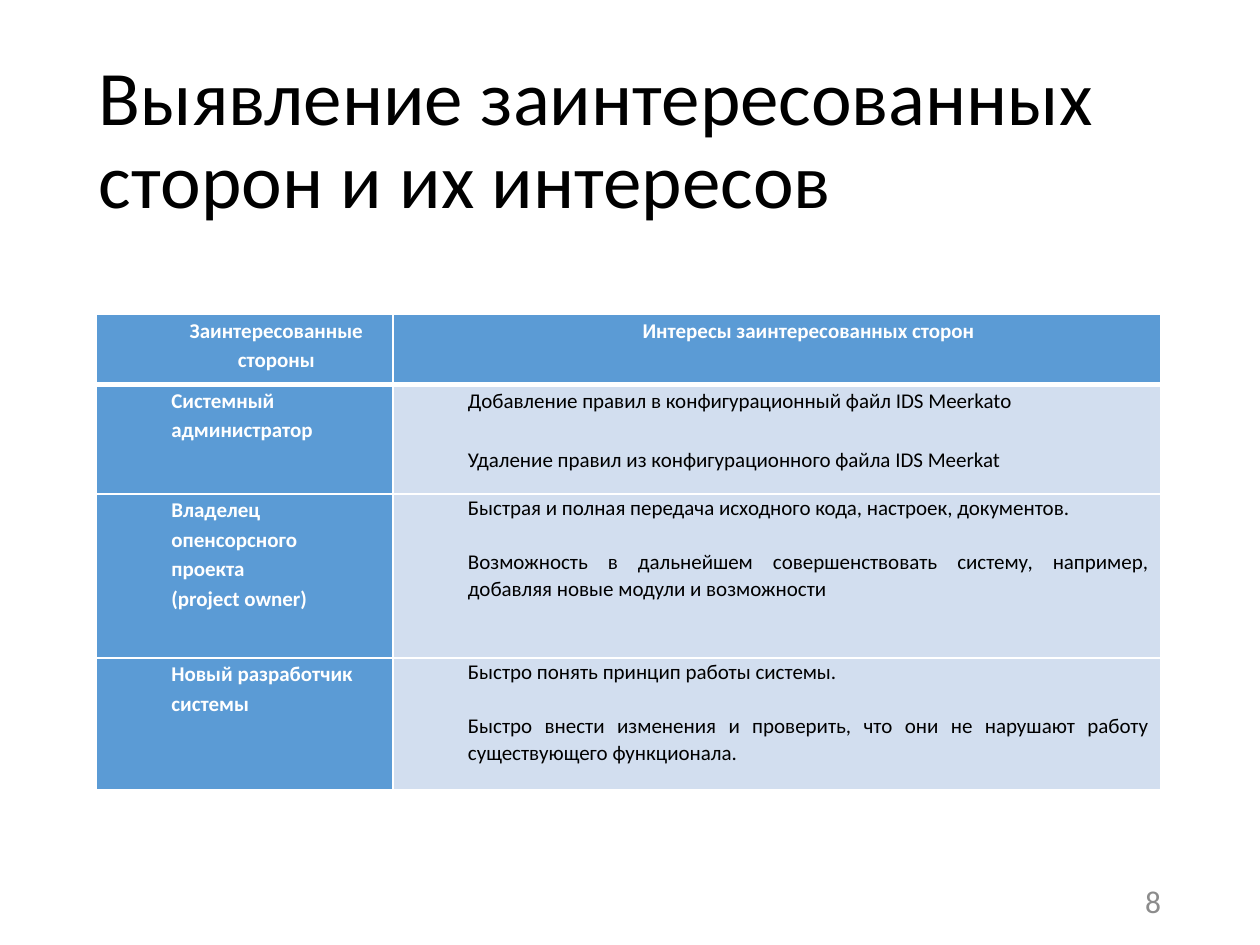
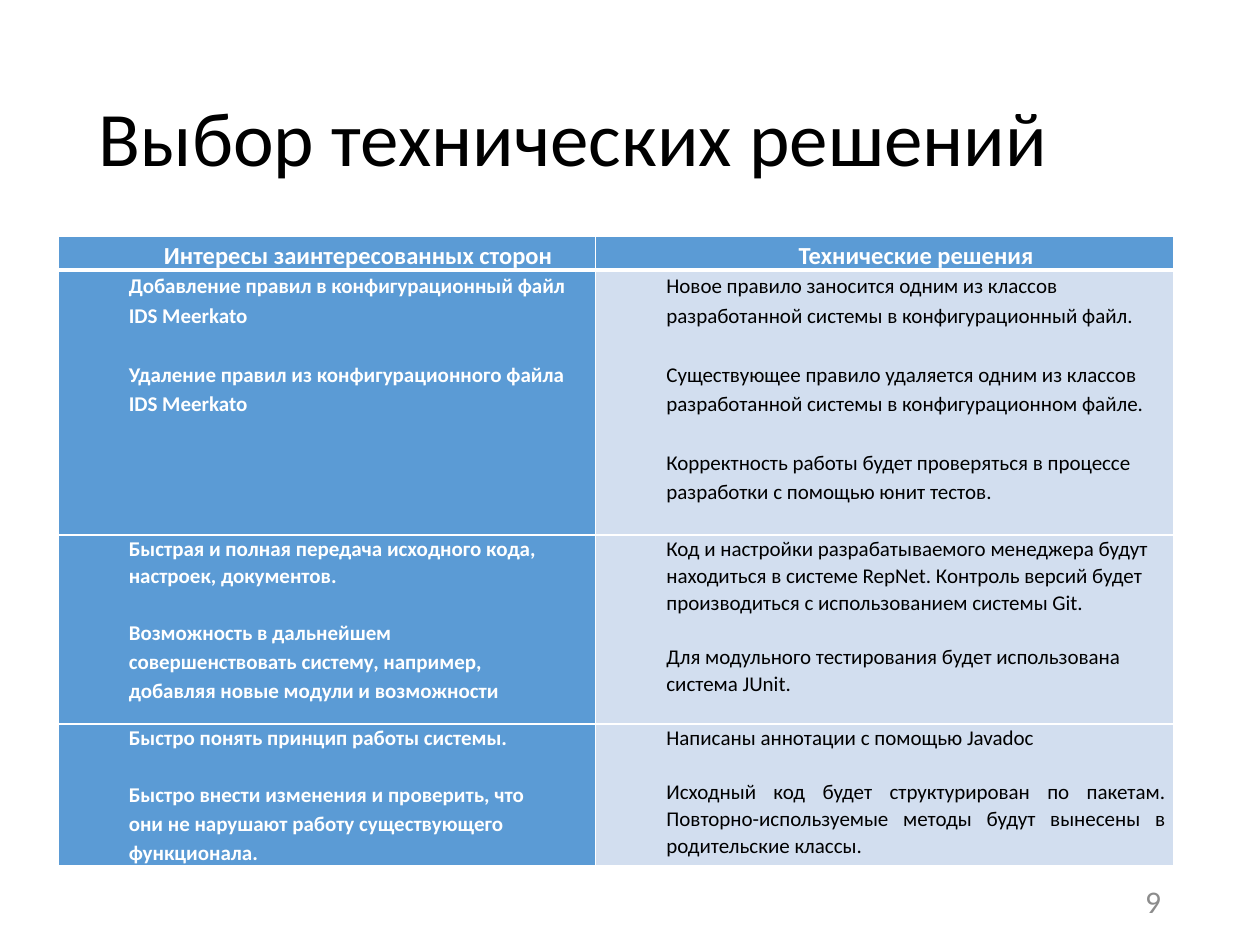
from dataclasses import dataclass

from lxml.etree import SubElement
from pptx import Presentation
from pptx.dml.color import RGBColor
from pptx.enum.text import MSO_ANCHOR, PP_ALIGN
from pptx.oxml.ns import qn
from pptx.util import Pt

WHITE = RGBColor(0xFF, 0xFF, 0xFF)
BLACK = RGBColor(0x00, 0x00, 0x00)
GRAY = RGBColor(0x8C, 0x8C, 0x8C)
BLUE = RGBColor(0x5B, 0x9B, 0xD5)
PALE_BLUE = RGBColor(0xD2, 0xDE, 0xEF)

LOOSE, TIGHT = 1.15, 1.06
LINE_HEIGHT = 1.22  # Calibri line height relative to font size


@dataclass
class Block:
    """Lines of one cell that belong together; a blank gap follows each block."""
    text: str
    spacing: float = LOOSE
    align: PP_ALIGN = PP_ALIGN.LEFT


def header(text):
    return [Block(text, LOOSE, PP_ALIGN.CENTER)]


def justified(text, spacing=TIGHT):
    return Block(text, spacing, PP_ALIGN.JUSTIFY)


class Deck:
    font = "Calibri"
    body_size = 12
    indent = 36

    def __init__(self):
        self.prs = Presentation()
        self.prs.slide_width, self.prs.slide_height = Pt(720), Pt(540)
        self.s = None

    def slide(self, title, number):
        self.s = self.prs.slides.add_slide(self.prs.slide_layouts[6])
        self.text(title, 49.5, 28.75, 621, 104.4, 44, BLACK, spacing=0.9)
        self.text(str(number), 508.5, 500.5, 162, 28.75, 18, GRAY, PP_ALIGN.RIGHT)

    def style(self, p, size, color, bold=False):
        f = p.font
        f.name, f.size, f.bold = self.font, Pt(size), bold
        f.color.rgb = color

    def text(self, text, x, y, w, h, size, color, align=PP_ALIGN.LEFT, spacing=1.0):
        tf = self.s.shapes.add_textbox(Pt(x), Pt(y), Pt(w), Pt(h)).text_frame
        tf.word_wrap = True
        tf.vertical_anchor = MSO_ANCHOR.MIDDLE
        p = tf.paragraphs[0]
        p.text, p.alignment, p.line_spacing = text, align, spacing
        self.style(p, size, color)

    def borders(self, cell, top, bottom):
        tc_pr = cell._tc.get_or_add_tcPr()
        for side, width in (("L", 1), ("R", 1), ("T", top), ("B", bottom)):
            ln = SubElement(tc_pr, qn(f"a:ln{side}"), w=str(Pt(width)))
            fill = SubElement(ln, qn("a:solidFill"))
            SubElement(fill, qn("a:srgbClr"), val=str(WHITE))

    def fill_cell(self, cell, blocks, inset, size, color, bold):
        cell.margin_left = cell.margin_right = Pt(inset)
        cell.margin_top = cell.margin_bottom = Pt(0)
        tf = cell.text_frame
        tf.text = "\n".join(block.text for block in blocks)
        paragraphs = iter(tf.paragraphs)
        for block in blocks:
            for _ in block.text.split("\n"):
                p = next(paragraphs)
                p.alignment, p.line_spacing = block.align, block.spacing
                p._p.get_or_add_pPr().set("marL", str(Pt(self.indent)))
                self.style(p, size, color, bold)
            if block is not blocks[-1]:
                p.space_after = Pt(round(size * LINE_HEIGHT * block.spacing, 1))

    def table(self, x, y, widths, heights, rows, inset, header_size):
        frame = self.s.shapes.add_table(len(rows), len(widths), Pt(x), Pt(y),
                                        Pt(sum(widths)), Pt(sum(heights)))
        tbl = frame.table
        tbl.first_row = tbl.horz_banding = False
        for column, width in zip(tbl.columns, widths):
            column.width = Pt(width)
        for i, (row, height) in enumerate(zip(rows, heights)):
            tbl.rows[i].height = Pt(height)
            for j, blocks in enumerate(row):
                cell = tbl.cell(i, j)
                strong = i == 0 or j == 0
                # A thick rule separates the header from the body
                self.borders(cell, 3 if i == 1 else 1, 3 if i == 0 else 1)
                cell.fill.solid()
                cell.fill.fore_color.rgb = BLUE if strong else PALE_BLUE
                self.fill_cell(cell, blocks, inset,
                               header_size if i == 0 else self.body_size,
                               WHITE if strong else BLACK, strong)


# Table contents
STAKEHOLDERS = [
    [header("Заинтересованные\nстороны"),
     header("Интересы заинтересованных сторон")],
    [[Block("Системный\nадминистратор")],
     [Block("Добавление правил в конфигурационный файл IDS Meerkato"),
      Block("Удаление правил из конфигурационного файла IDS Meerkat")]],
    [[Block("Владелец\nопенсорсного\nпроекта\n(project owner)")],
     [justified("Быстрая и полная передача исходного кода, настроек, документов."),
      justified("Возможность в дальнейшем совершенствовать систему, например, "
                "добавляя новые модули и возможности")]],
    [[Block("Новый разработчик системы")],
     [justified("Быстро понять принцип работы системы."),
      justified("Быстро внести изменения и проверить, что они не нарушают "
                "работу существующего функционала.")]],
]

SOLUTIONS = [
    [header("Интересы заинтересованных сторон"), header("Технические решения")],
    [[Block("Добавление правил в конфигурационный файл IDS Meerkato"),
      Block("Удаление правил из конфигурационного файла IDS Meerkato")],
     [justified("Новое правило заносится одним из классов\n"
                "разработанной системы в конфигурационный файл.", LOOSE),
      justified("Существующее правило удаляется одним из классов\n"
                "разработанной системы в конфигурационном файле.", LOOSE),
      justified("Корректность работы будет проверяться в процессе\n"
                "разработки с помощью юнит тестов.", LOOSE)]],
    [[Block("Быстрая и полная передача исходного кода, настроек, документов.", TIGHT),
      Block("Возможность в дальнейшем\nсовершенствовать систему, например,\n"
            "добавляя новые модули и возможности")],
     [Block("Код и настройки разрабатываемого менеджера будут находиться в системе "
            "RepNet. Контроль версий будет производиться с использованием "
            "системы Git.", TIGHT),
      Block("Для модульного тестирования будет использована система JUnit.", TIGHT)]],
    [[Block("Быстро понять принцип работы системы.", TIGHT),
      Block("Быстро внести изменения и проверить, что\n"
            "они не нарушают работу существующего\nфункционала.")],
     [justified("Написаны аннотации с помощью Javadoc"),
      justified("Исходный код будет структурирован по пакетам. Повторно-используемые "
                "методы будут вынесены в родительские классы.")]],
]


def main():
    deck = Deck()

    # Stakeholders and their interests
    deck.slide("Выявление заинтересованных сторон и их интересов", 8)
    deck.table(55.2, 179.6, (169.5, 438.8), (40.2, 62.6, 93.7, 75),
               STAKEHOLDERS, inset=6.75, header_size=12)

    # Technical solutions for each interest
    deck.slide("Выбор технических решений", 9)
    deck.table(33.1, 135, (307.2, 330.4), (18.8, 151.4, 108, 81),
               SOLUTIONS, inset=4.5, header_size=14)

    deck.prs.save("out.pptx")


if __name__ == "__main__":
    main()
